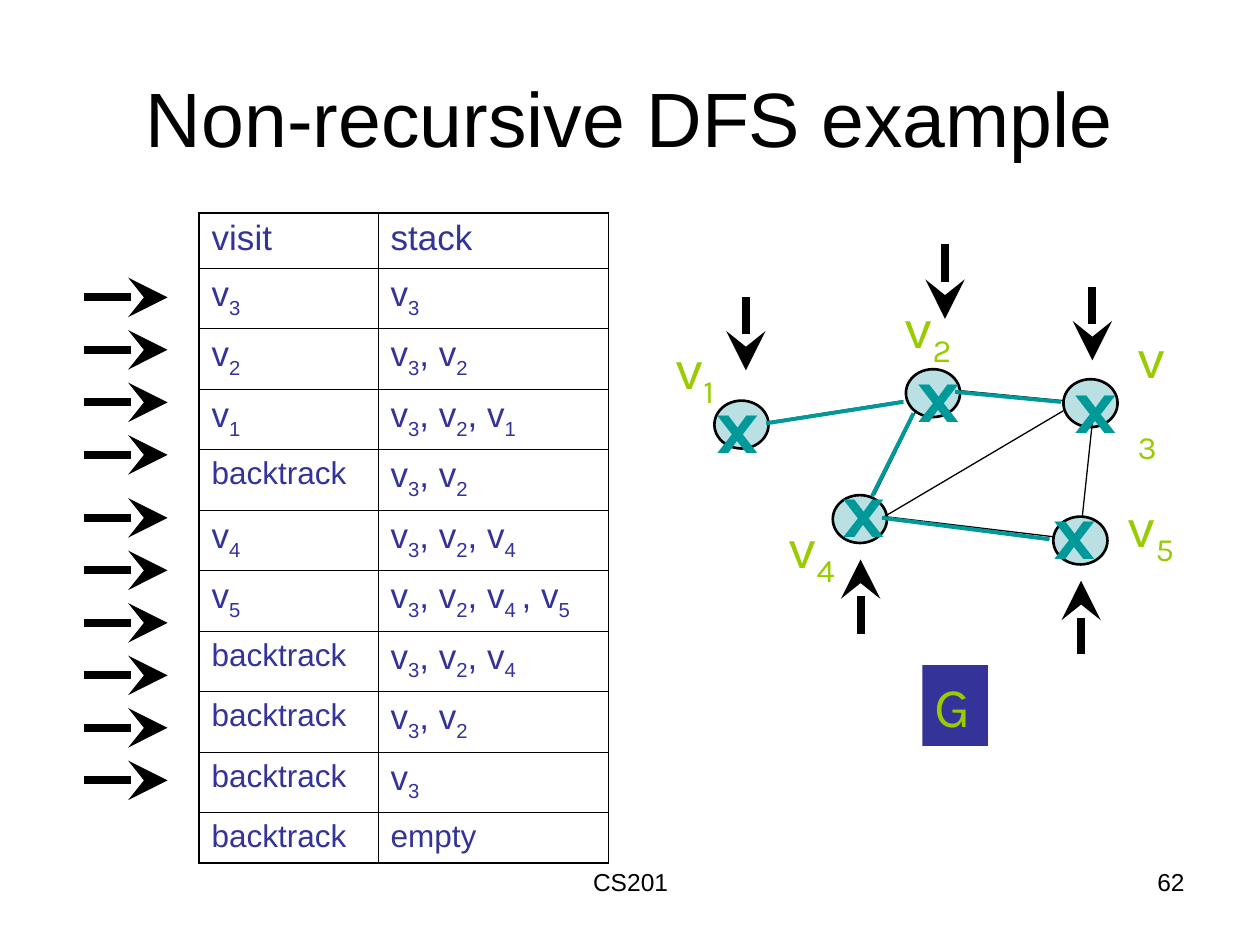
from lxml.etree import SubElement
from pptx import Presentation
from pptx.dml.color import RGBColor
from pptx.enum.shapes import MSO_CONNECTOR, MSO_SHAPE
from pptx.enum.text import MSO_ANCHOR, MSO_AUTO_SIZE, PP_ALIGN
from pptx.oxml.ns import qn
from pptx.util import Inches, Pt

BLACK, INDIGO, LIME, TEAL, PALE = "000000", "333399", "99CC00", "009999", "BBE0E3"
BODY = {"size": Pt(20), "name": "Arial"}
SMALL = {"size": Pt(18), "name": "Arial"}
FOOT = {"size": Pt(14), "name": "Arial"}
TITLE = {"size": Pt(44), "name": "Arial"}
LABEL = {"size": Pt(32), "name": "Karla"}
MARK = {"size": Pt(44), "name": "Karla", "bold": True}
FIT = {"word_wrap": False, "auto_size": MSO_AUTO_SIZE.SHAPE_TO_FIT_TEXT}
WRAP = {"word_wrap": True}

VISITS = [("3", "3"), ("2", "3,2"), ("1", "3,2,1"), (None, "3,2"),
          ("4", "3,2,4"), ("5", "3,2,4 ,5"), (None, "3,2,4"),
          (None, "3,2"), (None, "3")]

NODES = {
    "1": {"circle": (0.42, 1.28), "label": (0.01, 0.7), "mark": (0.34, 1.04),
          "arrow": (0.67, 0.46, 0.67, 1.04)},
    "2": {"circle": (1.94, 1.03), "label": (1.83, 0.37), "mark": (1.93, 0.79),
          "arrow": (2.25, 0.04, 2.25, 0.63)},
    "3": {"circle": (3.19, 1.11), "label": (3.68, 0.61), "mark": (3.18, 0.88),
          "arrow": (3.42, 0.38, 3.42, 0.96)},
    "4": {"circle": (1.36, 2.03), "label": (0.91, 2.12), "mark": (1.34, 1.71),
          "arrow": (1.58, 3.13, 1.58, 2.54)},
    "5": {"circle": (3.11, 2.2), "label": (3.6, 1.95), "mark": (3.01, 1.88),
          "arrow": (3.33, 3.29, 3.33, 2.71)},
}
EDGES = [(3.19, 1.28, 2.36, 1.2), (3.11, 2.36, 1.77, 2.2),
         (3.19, 1.36, 1.77, 2.2), (2.02, 1.36, 1.69, 2.03),
         (0.84, 1.45, 1.92, 1.28), (3.34, 2.2, 3.42, 1.45)]
TREE = [(3.17, 1.29, 2.33, 1.21), (0.83, 1.46, 1.92, 1.29),
        (2, 1.38, 1.67, 2.04), (3.08, 2.38, 1.75, 2.21)]


def rgb(color):
    """Turn a hex string into a colour."""
    return RGBColor.from_string(color)


def apply(target, fmt):
    """Set attributes from a dict of format values."""
    for name, value in fmt.items():
        setattr(target, name, value)


def write(tf, text, fmt, color, align=PP_ALIGN.LEFT):
    """Write one paragraph in which every second part between bars is a subscript."""
    p = tf.paragraphs[0]
    p.alignment = align
    for i, part in enumerate(text.split("|")):
        if part:
            r = p.add_run()
            r.text = part
            apply(r.font, fmt)
            r.font.color.rgb = rgb(color)
            if i % 2:
                r.font._element.set("baseline", "-25000")


def add_text(s, box, text, fmt, color, align=PP_ALIGN.LEFT, frame=FIT):
    """Add a text box."""
    tf = s.shapes.add_textbox(*map(Inches, box)).text_frame
    apply(tf, frame)
    write(tf, text, fmt, color, align)


def add_line(s, ends, color, width, arrow=False):
    """Add a straight line, with a stealth head at its end if asked."""
    c = s.shapes.add_connector(MSO_CONNECTOR.STRAIGHT, *map(Inches, ends))
    c.line.color.rgb = rgb(color)
    c.line.width = Pt(width)
    sppr = c._element.spPr
    if arrow:
        SubElement(sppr.find(qn("a:ln")), qn("a:tailEnd"), type="stealth", w="lg", len="lg")
    SubElement(sppr, qn("a:effectLst"))


def add_shape(s, kind, box, fill):
    """Add a filled shape without outline or shadow."""
    sp = s.shapes.add_shape(kind, *map(Inches, box))
    sp.shadow.inherit = False
    sp.fill.solid()
    sp.fill.fore_color.rgb = rgb(fill)
    sp.line.fill.background()
    return sp


def set_borders(cell, widths):
    """Draw the cell's black borders from a dict of sides and point widths."""
    tcpr = cell._tc.get_or_add_tcPr()
    for i, (side, width) in enumerate(widths.items()):
        ln = tcpr.makeelement(qn(f"a:ln{side}"), {"w": str(int(Pt(width)))})
        fill = SubElement(ln, qn("a:solidFill"))
        SubElement(fill, qn("a:srgbClr"), val=BLACK)
        tcpr.insert(i, ln)


def add_trace(s, left, top):
    """Place the table of visits and stack contents."""
    rows = [("visit", "stack")]
    for visit, stack in VISITS:
        rows.append((f"v|{visit}|" if visit else "backtrack",
                     ", ".join(f"v|{n}|" for n in stack.split(","))))
    rows.append(("backtrack", "empty"))
    heights = [0.44] + [0.48] * len(VISITS) + [0.4]
    box = (left, top, 3.25, sum(heights))
    tbl = s.shapes.add_table(len(rows), 2, *map(Inches, box)).table
    tbl.first_row = tbl.horz_banding = False
    for col, width in zip(tbl.columns, (1.42, 1.83)):
        col.width = Inches(width)
    for i, row in enumerate(rows):
        tbl.rows[i].height = Inches(heights[i])
        for j, text in enumerate(row):
            cell = tbl.cell(i, j)
            cell.fill.background()
            outer = {"L": j == 0, "R": j == 1, "T": i == 0, "B": i == len(rows) - 1}
            set_borders(cell, {k: 1.08 if edge else 0.45 for k, edge in outer.items()})
            fmt = SMALL if text in ("backtrack", "empty") else BODY
            write(cell.text_frame, text, fmt, INDIGO)


def add_steps(s, left, top):
    """Place the arrows that point at the table rows."""
    for first, count in ((top, 4), (top + 1.75, 6)):
        for i in range(count):
            y = first + i * 1.25 / 3
            add_line(s, (left, y, left + 0.66, y), BLACK, 4.5, True)


def add_graph(s, left, top):
    """Place the graph with its search tree, marks and arrows."""
    def at(x, y, *end):
        """Shift one or two points into the graph's box."""
        return (left + x, top + y) + (at(*end) if end else ())

    for node in NODES.values():
        sp = add_shape(s, MSO_SHAPE.OVAL, (*at(*node["circle"]), 0.43, 0.38), PALE)
        sp.line.color.rgb = rgb(BLACK)
        sp.line.width = Pt(1.5)
    for edges, color, width in ((EDGES, BLACK, 0.75), (TREE, TEAL, 2.25)):
        for ends in edges:
            add_line(s, at(*ends), color, width)
    for n, node in NODES.items():
        width, frame = (0.53, WRAP) if n == "3" else (0.57, FIT)
        add_text(s, (*at(*node["label"]), width, 0.71), f"v|{n}|", LABEL, LIME, frame=frame)
        add_text(s, (*at(*node["mark"]), 0.55, 0.84), "x", MARK, TEAL)
        add_line(s, at(*node["arrow"]), BLACK, 4.5, True)
    sp = add_shape(s, MSO_SHAPE.RECTANGLE, (*at(2.07, 3.38), 0.52, 0.64), INDIGO)
    apply(sp.text_frame, {**FIT, "vertical_anchor": MSO_ANCHOR.TOP})
    write(sp.text_frame, "G", LABEL, LIME)


def main():
    """Build the slide and save it."""
    prs = Presentation()
    prs.slide_width, prs.slide_height = Inches(10), Inches(7.5)
    s = prs.slides.add_slide(prs.slide_layouts[6])
    add_text(s, (0.5, 0.3, 9, 1.25), "Non-recursive DFS example", TITLE, BLACK,
             PP_ALIGN.CENTER, {**WRAP, "vertical_anchor": MSO_ANCHOR.MIDDLE})
    add_text(s, (3.42, 6.83, 3.17, 0.52), "CS201", FOOT, BLACK, PP_ALIGN.CENTER, WRAP)
    add_text(s, (7.17, 6.83, 2.33, 0.52), "62", FOOT, BLACK, PP_ALIGN.RIGHT, WRAP)
    add_trace(s, 1.58, 1.69)
    add_steps(s, 0.67, 2.36)
    add_graph(s, 5.25, 1.9)
    prs.save("out.pptx")


if __name__ == "__main__":
    main()
